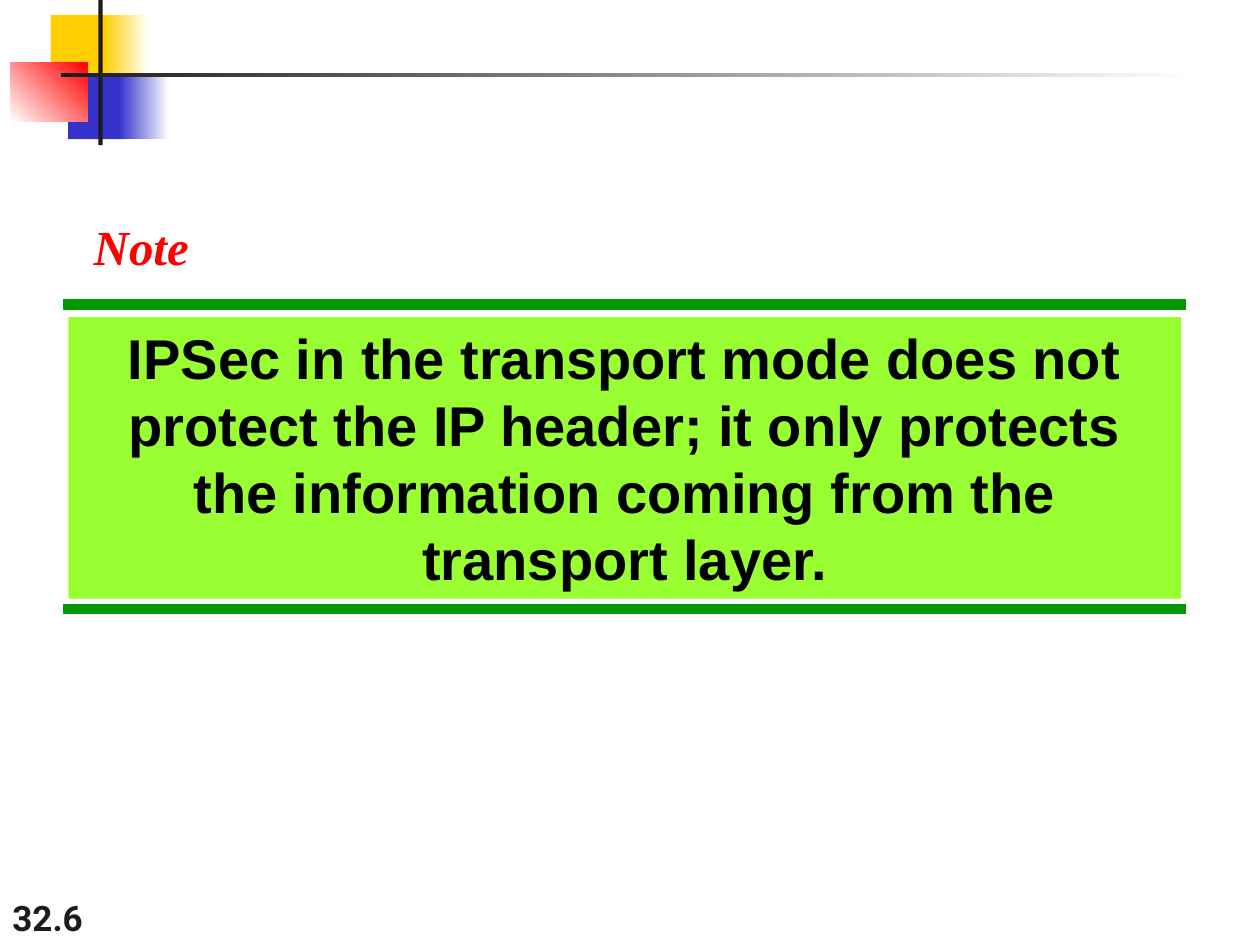
from pptx import Presentation, util as u
from pptx.dml import color
from pptx.enum import shapes, text
from pptx.oxml import xmlchemy

INK = "1C1C1C"
WHITE = "FFFFFF"
YELLOW = "FFCF01"
BLUE = "3333CC"
RED = "FF0000"
GREEN = "009900"
LIME = "99FF33"


def rgb(value):
    return color.RGBColor.from_string(value)


def add_block(slide, box, *colors, angle=0):
    shape = slide.shapes.add_shape(shapes.MSO_SHAPE.RECTANGLE, *map(u.Pt, box))
    shape.shadow.inherit = False
    shape.line.fill.background()
    if len(colors) == 1:
        shape.fill.solid()
        shape.fill.fore_color.rgb = rgb(colors[0])
    else:
        shape.fill.gradient()
        shape.fill.gradient_angle = angle
        for stop, value in zip(shape.fill.gradient_stops, colors):
            stop.color.rgb = rgb(value)
    return shape


def add_rule(slide, left, right, y):
    line = slide.shapes.add_connector(
        shapes.MSO_CONNECTOR.STRAIGHT, *map(u.Pt, (left, y, right, y)))
    line.line.color.rgb = rgb(GREEN)
    line.line.width = u.Pt(6)
    properties = line._element.spPr
    properties.append(xmlchemy.OxmlElement("a:effectLst"))


def write(shape, words, font, size, value, italic=False, align=None,
          wrap=True, anchor=text.MSO_ANCHOR.TOP):
    frame = shape.text_frame
    frame.word_wrap = wrap
    frame.vertical_anchor = anchor
    paragraph = frame.paragraphs[0]
    paragraph.alignment = align
    run = paragraph.add_run()
    run.text = words
    run.font.name = font
    run.font.size = u.Pt(size)
    run.font.bold = True
    run.font.italic = italic
    run.font.color.rgb = rgb(value)


def add_ornament(slide, left, top, width):
    add_block(slide, (left + 23, top + 8.5, 34.5, 37.5), YELLOW)
    add_block(slide, (left + 53, top + 8.5, 26, 37.5), YELLOW, WHITE)
    add_block(slide, (left + 33, top + 42, 33, 37.5), BLUE)
    add_block(slide, (left + 62, top + 42, 28.5, 37.5), BLUE, WHITE)
    add_block(slide, (left, top + 36, 44, 33.5), WHITE, RED, angle=45)
    add_block(slide, (left + 50.2, top, 2.5, 83), INK)
    add_block(slide, (left + 29, top + 41.8, width - 29, 2.5), INK, WHITE)


def add_label(slide, left, top, width, height):
    label = slide.shapes.add_textbox(*map(u.Pt, (left, top, width, height)))
    write(label, "Note", "Times New Roman", 28, RED, italic=True, wrap=False)
    label.text_frame.auto_size = text.MSO_AUTO_SIZE.SHAPE_TO_FIT_TEXT


def add_statement(slide, left, top, width, height):
    for y in (top, top + height):
        add_rule(slide, left, left + width, y)
    panel = add_block(slide, (left + 3, top + 7.2, width - 6, height - 13), LIME)
    write(panel,
          "IPSec in the transport mode does not protect the IP header; "
          "it only protects the information coming from the transport layer.",
          "Arial", 32, "000000", align=text.PP_ALIGN.CENTER)
    panel.text_frame.auto_size = text.MSO_AUTO_SIZE.SHAPE_TO_FIT_TEXT


def add_page_number(slide, left, top, width, height):
    number = slide.shapes.add_textbox(*map(u.Pt, (left, top, width, height)))
    write(number, "32.6", "Roboto", 20, INK, anchor=text.MSO_ANCHOR.BOTTOM)


def main():
    presentation = Presentation()
    presentation.slide_width = u.Pt(720)
    presentation.slide_height = u.Pt(540)
    slide = presentation.slides.add_slide(presentation.slide_layouts[6])
    add_page_number(slide, 0, 504, 150, 36)
    add_ornament(slide, 6, 0, 677)
    add_statement(slide, 36, 174, 642, 174)
    add_label(slide, 46.5, 120, 69, 41)
    presentation.save("out.pptx")


if __name__ == "__main__":
    main()
